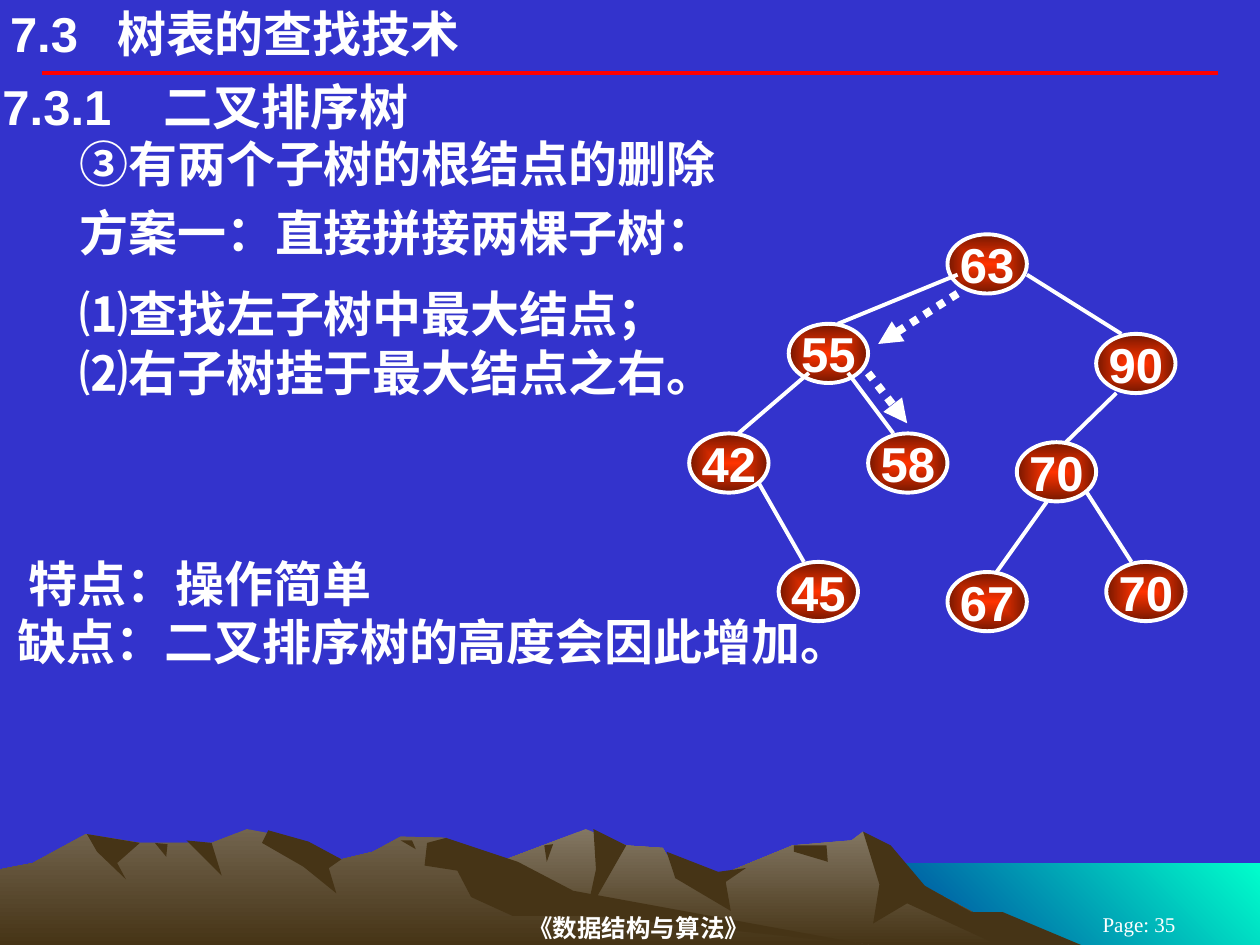
"""Build a slide on deleting a node with two subtrees from a binary search tree."""
from typing import NamedTuple

from lxml import etree
from pptx import Presentation
from pptx.dml.color import RGBColor
from pptx.enum.dml import MSO_LINE
from pptx.enum.shapes import MSO_CONNECTOR, MSO_SHAPE
from pptx.enum.text import MSO_ANCHOR, PP_ALIGN
from pptx.oxml.ns import qn
from pptx.util import Inches, Pt

STRAIGHT = MSO_CONNECTOR.STRAIGHT
ELLIPSE = MSO_SHAPE.OVAL
DOTTED = MSO_LINE.ROUND_DOT
TOP, MIDDLE = MSO_ANCHOR.TOP, MSO_ANCHOR.MIDDLE
LEFT, CENTER = PP_ALIGN.LEFT, PP_ALIGN.CENTER

WHITE, RED, BLUE, SHADE = "FFFFFF", "FF0000", "3333CC", "463416"
HUNDREDTH = Inches(0.01)
NODE_W, NODE_H = 0.63, 0.47
LEFT_CHILD_X, RIGHT_CHILD_X = 0.39, 0.2


class Outline(NamedTuple):
    """A landscape outline in hundredths of an inch, solid or with a gradient."""
    points: list
    start: str = SHADE
    end: str = ""
    angle: int = 90


class Node(NamedTuple):
    """A tree node with its key and top left corner."""
    key: str
    left: float
    top: float


class Branch(NamedTuple):
    """A link to a child from an offset within its parent."""
    parent: Node
    child: Node
    dx: float
    dy: float


class Line(NamedTuple):
    """A straight line between two points."""
    x1: float
    y1: float
    x2: float
    y2: float


class Paragraph(NamedTuple):
    """A line of text with its indent and tab stop."""
    text: str
    indent: float = 0
    tab: float = 0


class Caption(NamedTuple):
    """A text box with its paragraphs and type."""
    left: float
    top: float
    width: float
    height: float
    paragraphs: list
    inset: float = 0.02
    size: int = 28
    font: str = "Arial"
    bold: bool = True
    anchor: MSO_ANCHOR = TOP
    align: PP_ALIGN = LEFT


LANDSCAPE = [
    Outline([(683, 685), (1000, 685), (1000, 750), (683, 750)], "00FFCC", "003399", 135),
    Outline([(258, 750), (327, 709), (394, 685), (465, 658), (497, 671), (526, 673), (536, 690),
             (566, 697), (629, 671), (676, 667), (685, 660), (723, 698), (821, 750)],
            "837763", SHADE),
    Outline([(685, 660), (707, 671), (734, 703), (771, 724), (796, 724), (858, 750), (792, 750),
             (720, 717), (693, 733), (698, 702)]),
    Outline([(471, 658), (497, 671), (465, 727), (473, 690)]),
    Outline([(529, 676), (570, 692), (592, 689), (576, 700), (580, 723), (536, 697)]),
    Outline([(630, 671), (656, 671), (657, 684), (630, 676)]),
    Outline([(432, 671), (439, 670), (434, 684)]),
    Outline([(0, 750), (0, 690), (26, 685), (68, 662), (111, 669), (168, 669), (196, 658),
             (223, 663), (271, 682), (296, 676), (318, 664), (354, 665), (432, 712), (690, 750)],
            "72644E", SHADE),
    Outline([(213, 659), (245, 668), (271, 682), (261, 689), (267, 709), (241, 688), (208, 669)]),
    Outline([(339, 669), (354, 665), (411, 684), (455, 707), (690, 750), (472, 727), (407, 727),
             (374, 712), (363, 691), (337, 687)]),
    Outline([(318, 667), (327, 667), (330, 674)]),
    Outline([(148, 667), (168, 669), (176, 695)]),
    Outline([(123, 669), (133, 670), (132, 680)]),
    Outline([(69, 662), (111, 669), (93, 685), (100, 698), (77, 676)]),
]

NODES = ROOT, N55, N90, N42, N58, N70, N45, N67, LEAF70 = [
    Node("63", 7.52, 1.86), Node("55", 6.26, 2.57), Node("90", 8.7, 2.65),
    Node("42", 5.47, 3.44), Node("58", 6.89, 3.44), Node("70", 8.07, 3.51),
    Node("45", 6.18, 4.46), Node("67", 7.52, 4.54), Node("70", 8.78, 4.46),
]
BRANCHES = [
    Branch(ROOT, N55, 0.08, 0.32), Branch(ROOT, N90, 0.63, 0.32),
    Branch(N55, N42, 0.16, 0.39), Branch(N55, N58, 0.47, 0.39),
    Branch(N90, N70, 0.16, 0.47), Branch(N42, N45, 0.55, 0.39),
    Branch(N70, N67, 0.24, 0.47), Branch(N70, LEAF70, 0.55, 0.39),
]
SEARCH_STEPS = [Line(7.6, 2.33, 6.97, 2.73), Line(6.89, 2.96, 7.2, 3.36)]
TITLE_RULE = Line(0.33, 0.58, 9.67, 0.58)

CAPTIONS = [
    Caption(2.04, 7.22, 6.06, 0.28, [Paragraph("《数据结构与算法》")], 0, 14,
            "Times New Roman", True, MIDDLE, CENTER),
    Caption(8.25, 7.25, 1.58, 0.17, [Paragraph("Page: 35")], 0.1, 12,
            "Times New Roman", False, MIDDLE, CENTER),
    Caption(0.08, 0.03, 6.5, 0.47, [Paragraph("7.3\t树表的查找技术", tab=0.85)], 0),
    Caption(0, 0.6, 10, 0.49, [Paragraph("7.3.1\t二叉排序树", tab=1.28)]),
    Caption(0, 1.05, 9.96, 0.49, [Paragraph("③有两个子树的根结点的删除", 0.61)]),
    Caption(0, 1.6, 9.96, 0.49, [Paragraph("方案一：直接拼接两棵子树：", 0.61)]),
    Caption(0, 2.24, 9.96, 0.96, [Paragraph("⑴查找左子树中最大结点；", 0.61),
                                  Paragraph("⑵右子树挂于最大结点之右。", 0.61)]),
    Caption(0.12, 4.38, 6.77, 0.96, [Paragraph("特点：操作简单", 0.09),
                                     Paragraph("缺点：二叉排序树的高度会因此增加。")]),
]


def rgb(code: str) -> RGBColor:
    """Turn a hex string into a colour."""
    return RGBColor.from_string(code)


def fill_gradient(fill, start: str, end: str, angle: int = 90) -> None:
    """Fill with two colours along a clockwise angle."""
    fill.gradient()
    fill.gradient_angle = 360 - angle
    for stop, code in zip(fill.gradient_stops, (start, end)):
        stop.color.rgb = rgb(code)


def add_outline(slide, outline: Outline) -> None:
    """Draw one piece of the landscape."""
    builder = slide.shapes.build_freeform(*outline.points[0], scale=HUNDREDTH)
    builder.add_line_segments(outline.points[1:], close=True)
    piece = builder.convert_to_shape()
    piece.shadow.inherit = False
    piece.line.fill.background()
    if outline.end:
        fill_gradient(piece.fill, outline.start, outline.end, outline.angle)
    else:
        piece.fill.solid()
        piece.fill.fore_color.rgb = rgb(outline.start)


def add_line(slide, line: Line, color: str = WHITE, width: float = 2.25, arrow: bool = False) -> None:
    """Draw a line, dotted and with an arrowhead if asked."""
    connector = slide.shapes.add_connector(STRAIGHT, *map(Inches, line))
    connector.line.color.rgb = rgb(color)
    connector.line.width = Pt(width)
    if arrow:
        connector.line.dash_style = DOTTED
        etree.SubElement(connector.line._get_or_add_ln(), qn("a:tailEnd"), type="triangle")
    etree.SubElement(connector._element.spPr, qn("a:effectLst"))


def add_branch(slide, branch: Branch) -> None:
    """Link a parent to the top of its left or right child."""
    parent, child, dx, dy = branch
    reach = LEFT_CHILD_X if child.left < parent.left else RIGHT_CHILD_X
    add_line(slide, Line(parent.left + dx, parent.top + dy, child.left + reach, child.top))


def add_run(paragraph, text: str, size: int, font: str, bold: bool) -> None:
    """Add a white run of text."""
    run = paragraph.add_run()
    run.text = text
    run.font.size, run.font.name, run.font.bold = Pt(size), font, bold
    run.font.color.rgb = rgb(WHITE)


def add_node(slide, node: Node) -> None:
    """Draw a tree node glowing from its centre."""
    oval = slide.shapes.add_shape(ELLIPSE, *map(Inches, (node.left, node.top, NODE_W, NODE_H)))
    oval.shadow.inherit = False
    fill_gradient(oval.fill, "FF3300", "751700")
    linear = oval._element.spPr.find(".//" + qn("a:lin"))
    glow = etree.Element(qn("a:path"))
    glow.set("path", "rect")
    etree.SubElement(glow, qn("a:fillToRect"), dict.fromkeys("ltrb", "50000"))
    linear.getparent().replace(linear, glow)
    oval.line.color.rgb = rgb(WHITE)
    oval.line.width = Pt(2.25)
    frame = oval.text_frame
    frame.word_wrap, frame.vertical_anchor = False, MIDDLE
    frame.paragraphs[0].alignment = CENTER
    add_run(frame.paragraphs[0], node.key, 28, "Arial", True)


def add_caption(slide, caption: Caption) -> None:
    """Draw a text box with indents and tab stops."""
    frame = slide.shapes.add_textbox(*map(Inches, caption[:4])).text_frame
    frame.word_wrap, frame.vertical_anchor = True, caption.anchor
    frame.margin_left = frame.margin_right = Inches(caption.inset)
    frame.margin_top = frame.margin_bottom = Inches(caption.inset / 2)
    for index, content in enumerate(caption.paragraphs):
        paragraph = frame.add_paragraph() if index else frame.paragraphs[0]
        paragraph.alignment = caption.align
        properties = paragraph._p.get_or_add_pPr()
        properties.set("marL", str(Inches(content.indent)))
        if content.tab:
            tabs = etree.SubElement(properties, qn("a:tabLst"))
            etree.SubElement(tabs, qn("a:tab"), pos=str(Inches(content.tab)), algn="l")
        add_run(paragraph, content.text, caption.size, caption.font, caption.bold)


def main() -> None:
    """Build and save the slide."""
    deck = Presentation()
    deck.slide_width, deck.slide_height = Inches(10), Inches(7.5)
    slide = deck.slides.add_slide(deck.slide_layouts[6])
    slide.background.fill.solid()
    slide.background.fill.fore_color.rgb = rgb(BLUE)
    for outline in LANDSCAPE:
        add_outline(slide, outline)
    add_line(slide, TITLE_RULE, RED)
    for node in NODES:
        add_node(slide, node)
    for branch in BRANCHES:
        add_branch(slide, branch)
    for step in SEARCH_STEPS:
        add_line(slide, step, width=4.5, arrow=True)
    for caption in CAPTIONS:
        add_caption(slide, caption)
    deck.save("out.pptx")


if __name__ == "__main__":
    main()
